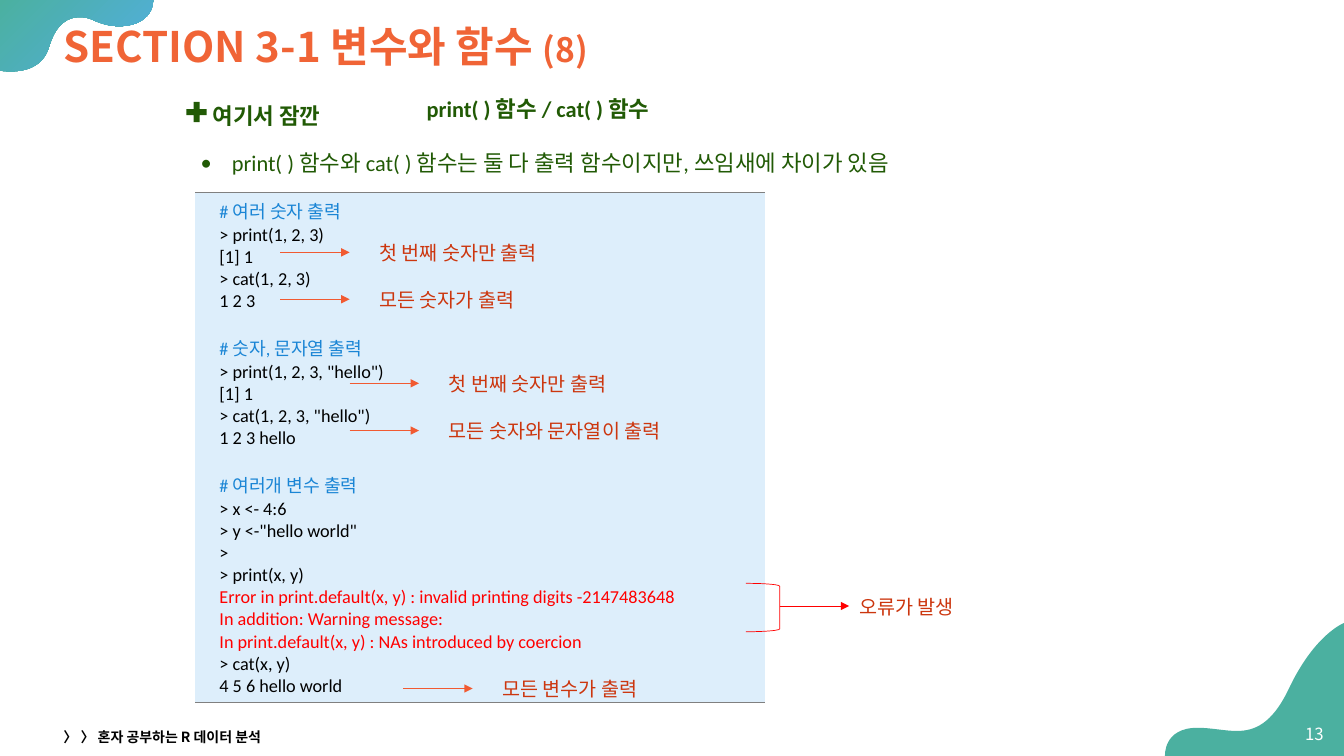
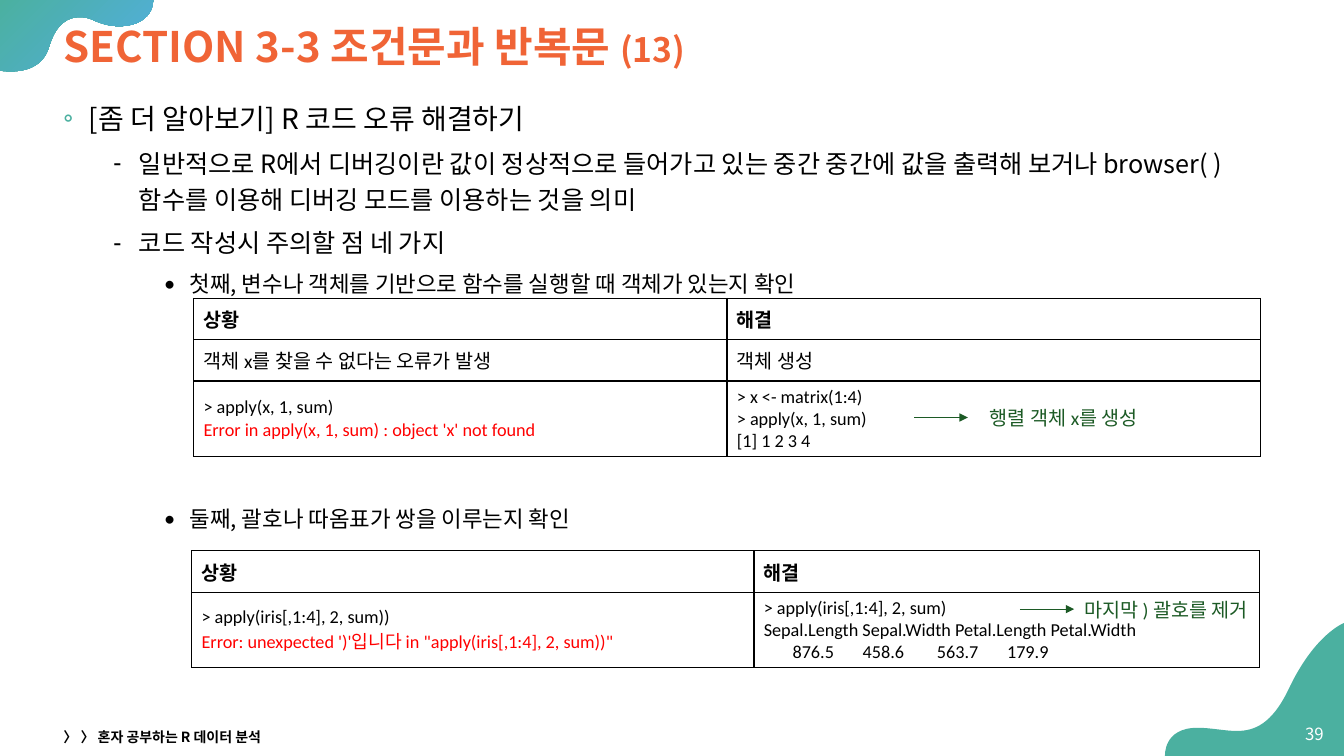
from lxml import etree
from pptx import Presentation
from pptx.dml.color import RGBColor
from pptx.enum.shapes import MSO_CONNECTOR, MSO_SHAPE
from pptx.enum.text import MSO_ANCHOR as ANCHOR, MSO_AUTO_SIZE, PP_ALIGN as ALIGN
from pptx.oxml.ns import qn
from pptx.util import Cm, Pt

rgb = RGBColor.from_string
SANS, CALIBRI = "Noto Sans CJK KR", "Calibri"
BLACK, WHITE, RED, GRAY = "000000", "FFFFFF", "FF0000", "808080"
ORANGE, ARROW, RUST = "F06436", "F15A31", "CC360E"
TEAL, SKY, PALE, BLUE = "4BB0A0", "52AEE1", "DDEEFB", "1A85D5"
GREEN, NOTE_GREEN = "215A05", "1C5A25"


def text_box(page, left, top, width, height, anchor=ANCHOR.TOP):
    frame = page.shapes.add_textbox(Cm(left), Cm(top), Cm(width), Cm(height)).text_frame
    frame.word_wrap = True
    frame.vertical_anchor = anchor
    return frame


def write(frame, text, size=14, color=BLACK, bold=False, font=CALIBRI, before=0,
          left=0, hanging=0, bullet=None, bullet_color=None, align=ALIGN.LEFT, para=None):
    """Add a paragraph to the frame, or a span to the given paragraph."""
    if para is None:
        para = frame.add_paragraph() if frame.text else frame.paragraphs[0]
        para.alignment = align
        properties = para._p.get_or_add_pPr()
        properties.set("marL", str(Cm(left)))
        properties.set("indent", str(-Cm(hanging)))
        if bullet_color:
            holder = etree.SubElement(properties, qn("a:buClr"))
            etree.SubElement(holder, qn("a:srgbClr"), val=bullet_color)
        if bullet:
            etree.SubElement(properties, qn("a:buFont"), typeface=CALIBRI)
            etree.SubElement(properties, qn("a:buChar"), char=bullet)
        para.space_before = Pt(before)
    span = para.add_run()
    span.text = text
    span.font.size = Pt(size)
    span.font.bold = bold
    span.font.color.rgb = rgb(color)
    span.font.name = font
    return para


deck = Presentation()
deck.slide_width, deck.slide_height = Cm(33.87), Cm(19.05)
layout = deck.slide_layouts[5]

# Title and footer of each page
pages = []
for heading, part, number in [
    ("SECTION 3-1 변수와 함수 ", "(8)", "13"),
    ("SECTION 3-3 조건문과 반복문 ", "(13)", "39"),
]:
    page = deck.slides.add_slide(layout)
    pages.append(page)
    title = page.shapes.title
    title.left, title.top, title.width, title.height = Cm(1.35), Cm(0.3), Cm(31.34), Cm(1.85)
    frame = title.text_frame
    frame.auto_size = MSO_AUTO_SIZE.NONE
    frame.vertical_anchor = ANCHOR.MIDDLE
    para = write(frame, heading, 30, ORANGE, True, SANS)
    para.line_spacing = 0.9
    write(frame, part, 24, ORANGE, True, SANS, para=para)
    write(text_box(page, 32.49, 17.98, 1.12, 1.02, ANCHOR.MIDDLE), number,
          12, WHITE, font=SANS, align=ALIGN.RIGHT)
    write(text_box(page, 1.35, 18.26, 11.43, 0.61, ANCHOR.MIDDLE),
          "〉 〉 혼자 공부하는 R 데이터 분석", 10, bold=True, font=SANS)
functions_page, errors_page = pages

# Corner waves, kept on the layout: straight corners, then Bezier curves
waves = [
    ([(3.86, 0), (0, 0), (0, 1.78)],
     [[(0, 1.78), (0.1, 1.8), (0.28, 1.8)],
      [(0.61, 1.8), (1.09, 1.7), (1.24, 1.17)],
      [(1.42, 0.58), (1.73, 0.43), (2.01, 0.43)],
      [(2.13, 0.43), (2.26, 0.46), (2.36, 0.51)],
      [(2.57, 0.61), (2.79, 0.66), (3, 0.66)],
      [(3.48, 0.66), (3.86, 0.43), (3.86, 0)]]),
    ([(29.36, 19.05), (33.87, 19.05), (33.87, 15.7)],
     [[(33.87, 15.7), (33.12, 15.98), (32.46, 17.4)],
      [(32.05, 18.24), (31.62, 18.42), (31.17, 18.42)],
      [(30.86, 18.42), (30.53, 18.34), (30.18, 18.34)],
      [(29.31, 18.34), (29.36, 19.05), (29.36, 19.05)]]),
]
for index, (corners, curves) in enumerate(waves):
    corners = [(Cm(x), Cm(y)) for x, y in corners]
    builder = functions_page.shapes.build_freeform(*corners[0])
    builder.add_line_segments(corners[1:], close=True)
    wave = builder.convert_to_shape()
    outline = wave.element.spPr.find(".//" + qn("a:path"))
    for points in curves:
        curve = etree.Element(qn("a:cubicBezTo"))
        for x, y in points:
            etree.SubElement(curve, qn("a:pt"), x=str(Cm(x) - wave.left), y=str(Cm(y) - wave.top))
        outline.insert(len(outline) - 1, curve)
    wave.shadow.inherit = False
    wave.line.fill.background()
    if index == 0:
        wave.fill.gradient()
        wave.fill.gradient_angle = 315
        for stop, color in zip(wave.fill.gradient_stops, (TEAL, SKY)):
            stop.color.rgb = rgb(color)
    else:
        wave.fill.solid()
        wave.fill.fore_color.rgb = rgb(TEAL)
    wave.element.nvSpPr.cNvPr.set("id", str(20 + index))
    layout.shapes.element.insert(2 + index, wave.element)

# Heading panels and plus sign of the functions page
panels = []
for kind, left, top, width, height, color in [
    (MSO_SHAPE.ROUNDED_RECTANGLE, 3.94, 2.16, 29.87, 2.57, WHITE),
    (MSO_SHAPE.RECTANGLE, 4.37, 2.44, 4.8, 0.94, WHITE),
    (MSO_SHAPE.CROSS, 4.7, 2.57, 0.51, 0.51, GREEN),
]:
    panel = functions_page.shapes.add_shape(kind, Cm(left), Cm(top), Cm(width), Cm(height))
    panel.shadow.inherit = False
    panel.fill.solid()
    panel.fill.fore_color.rgb = rgb(color)
    panel.line.fill.background()
    panel.text_frame.margin_left = Cm(0.99)
    panel.text_frame.vertical_anchor = ANCHOR.TOP
    panels.append(panel)
banner, aside, plus = panels
plus.adjustments[0] = 0.354
write(banner.text_frame, "print( ) 함수 / cat( ) 함수", 16, GREEN, True, left=5.7)
write(banner.text_frame, "print( ) 함수와 cat( ) 함수는 둘 다 출력 함수이지만, 쓰임새에 차이가 있음",
      16, GREEN, before=19, left=0.79, hanging=0.79, bullet="•")
write(aside.text_frame, "여기서 잠깐", 16, GREEN, True)

# Outline of the errors page
frame = text_box(errors_page, 1.35, 2.26, 31.34, 14.6)
levels = [(20, "◦", TEAL, 0.64), (18, "⁃", None, 1.9), (16, "•", None, 3.18)]
for level, before, text in [
    (0, 0, "[좀 더 알아보기] R 코드 오류 해결하기"),
    (1, 5, "일반적으로 R에서 디버깅이란 값이 정상적으로 들어가고 있는 중간 중간에 값을 출력해 "
           "보거나 browser( ) 함수를 이용해 디버깅 모드를 이용하는 것을 의미"),
    (1, 5, "코드 작성시 주의할 점 네 가지"),
    (2, 5, "첫째, 변수나 객체를 기반으로 함수를 실행할 때 객체가 있는지 확인"),
    (2, 145, "둘째, 괄호나 따옴표가 쌍을 이루는지 확인"),
]:
    size, bullet, bullet_color, left = levels[level]
    para = write(frame, text, size, font=SANS, before=before, left=left, hanging=0.64,
                 bullet=bullet, bullet_color=bullet_color)
    para.line_spacing = 1.2

# Tables: each row is height, text size, bold, cells
print_code = """# 여러 숫자 출력
> print(1, 2, 3)
[1] 1
> cat(1, 2, 3)
1 2 3
# 숫자, 문자열 출력
> print(1, 2, 3, "hello")
[1] 1
> cat(1, 2, 3, "hello")
1 2 3 hello
# 여러개 변수 출력
> x <- 4:6
> y <-"hello world"
>
> print(x, y)
Error in print.default(x, y) : invalid printing digits -2147483648
In addition: Warning message:
In print.default(x, y) : NAs introduced by coercion
> cat(x, y)
4 5 6 hello world"""
missing_object = """> apply(x, 1, sum)
Error in apply(x, 1, sum) : object 'x' not found"""
object_made = """> x <- matrix(1:4)
> apply(x, 1, sum)
[1] 1 2 3 4"""
extra_bracket = """> apply(iris[,1:4], 2, sum))
Error: unexpected ')'입니다 in "apply(iris[,1:4], 2, sum))\""""
bracket_removed = """> apply(iris[,1:4], 2, sum)
Sepal.Length Sepal.Width Petal.Length Petal.Width
       876.5       458.6        563.7       179.9"""
header = (1.04, 14, True, ["상황", "해결"])
open_sides = {"lnL": None, "lnR": None, "lnT": GRAY, "lnB": GRAY}
boxed = dict.fromkeys(open_sides, BLACK)

for page, left, top, widths, rows, borders, fill, inset, anchor in [
    (functions_page, 4.92, 4.85, [14.35], [(12.85, 13, False, [print_code])],
     open_sides, PALE, 0.61, ANCHOR.TOP),
    (errors_page, 4.88, 7.52, [13.44, 13.44],
     [header,
      (1.04, 14, False, ["객체 x를 찾을 수 없다는 오류가 발생", "객체 생성"]),
      (1.9, 13, False, [missing_object, object_made])],
     boxed, None, 0.25, ANCHOR.MIDDLE),
    (errors_page, 4.83, 13.88, [14.17, 12.75],
     [header, (1.9, 13, False, [extra_bracket, bracket_removed])],
     boxed, None, 0.25, ANCHOR.MIDDLE),
]:
    height = sum(row[0] for row in rows)
    table = page.shapes.add_table(len(rows), len(widths), Cm(left), Cm(top),
                                  Cm(sum(widths)), Cm(height)).table
    table.first_row = table.horz_banding = False
    for column, width in zip(table.columns, widths):
        column.width = Cm(width)
    for row_index, (row_height, size, bold, texts) in enumerate(rows):
        table.rows[row_index].height = Cm(row_height)
        for column_index, text in enumerate(texts):
            cell = table.cell(row_index, column_index)
            cell.margin_left = Cm(inset)
            cell.vertical_anchor = anchor
            for side, color in borders.items():
                edge = etree.SubElement(cell._tc.get_or_add_tcPr(), qn("a:" + side),
                                        w=str(Pt(1)))
                if color:
                    paint = etree.SubElement(edge, qn("a:solidFill"))
                    etree.SubElement(paint, qn("a:srgbClr"), val=color)
                else:
                    etree.SubElement(edge, qn("a:noFill"))
            if fill:
                cell.fill.solid()
                cell.fill.fore_color.rgb = rgb(fill)
            else:
                cell.fill.background()
            for line_index, line in enumerate(text.split("\n")):
                comment = line.startswith("#")
                error = line.startswith(("Error", "In "))
                write(cell.text_frame, line, size,
                      BLUE if comment else RED if error else BLACK, bold,
                      before=15.8 if comment and line_index else 0)

# Bracket beside the error lines
bracket = functions_page.shapes.add_shape(MSO_SHAPE.RIGHT_BRACKET,
                                          Cm(18.8), Cm(14.7), Cm(0.85), Cm(1.22))
bracket.shadow.inherit = False
bracket.fill.background()
bracket.line.color.rgb = rgb(RED)
bracket.line.width = Pt(0.5)

# Arrows with their remarks: start, height, length, gap, width
for page, text, x, y, length, gap, width, line_color, color in [
    (functions_page, "첫 번째 숫자만 출력", 7.06, 6.36, 1.75, 0.5, 8.9, ARROW, RUST),
    (functions_page, "모든 숫자가 출력", 7.06, 7.54, 1.75, 0.5, 8.9, ARROW, RUST),
    (functions_page, "첫 번째 숫자만 출력", 8.81, 9.66, 1.75, 0.5, 8.9, ARROW, RUST),
    (functions_page, "모든 숫자와 문자열이 출력", 8.81, 10.85, 1.75, 0.5, 8.9, ARROW, RUST),
    (functions_page, "모든 변수가 출력", 10.16, 17.35, 1.75, 0.5, 8.9, ARROW, RUST),
    (functions_page, "오류가 발생", 19.65, 15.27, 1.75, 0, 8.9, RED, RUST),
    (errors_page, "행렬 객체 x를 생성", 23.04, 10.52, 1.35, 0.3, 7.06, NOTE_GREEN, NOTE_GREEN),
    (errors_page, "마지막 ) 괄호를 제거", 25.7, 15.35, 1.37, 0, 5.2, NOTE_GREEN, NOTE_GREEN),
]:
    arrow = page.shapes.add_connector(MSO_CONNECTOR.STRAIGHT, Cm(x), Cm(y), Cm(x + length), Cm(y))
    arrow.line.color.rgb = rgb(line_color)
    arrow.line.width = Pt(0.5)
    etree.SubElement(arrow.line._get_or_add_ln(), qn("a:tailEnd"), type="triangle")
    etree.SubElement(arrow.element.spPr, qn("a:effectLst"))
    write(text_box(page, x + length + gap, y - 0.41, width, 0.86), text, 14, color)

deck.save("out.pptx")
